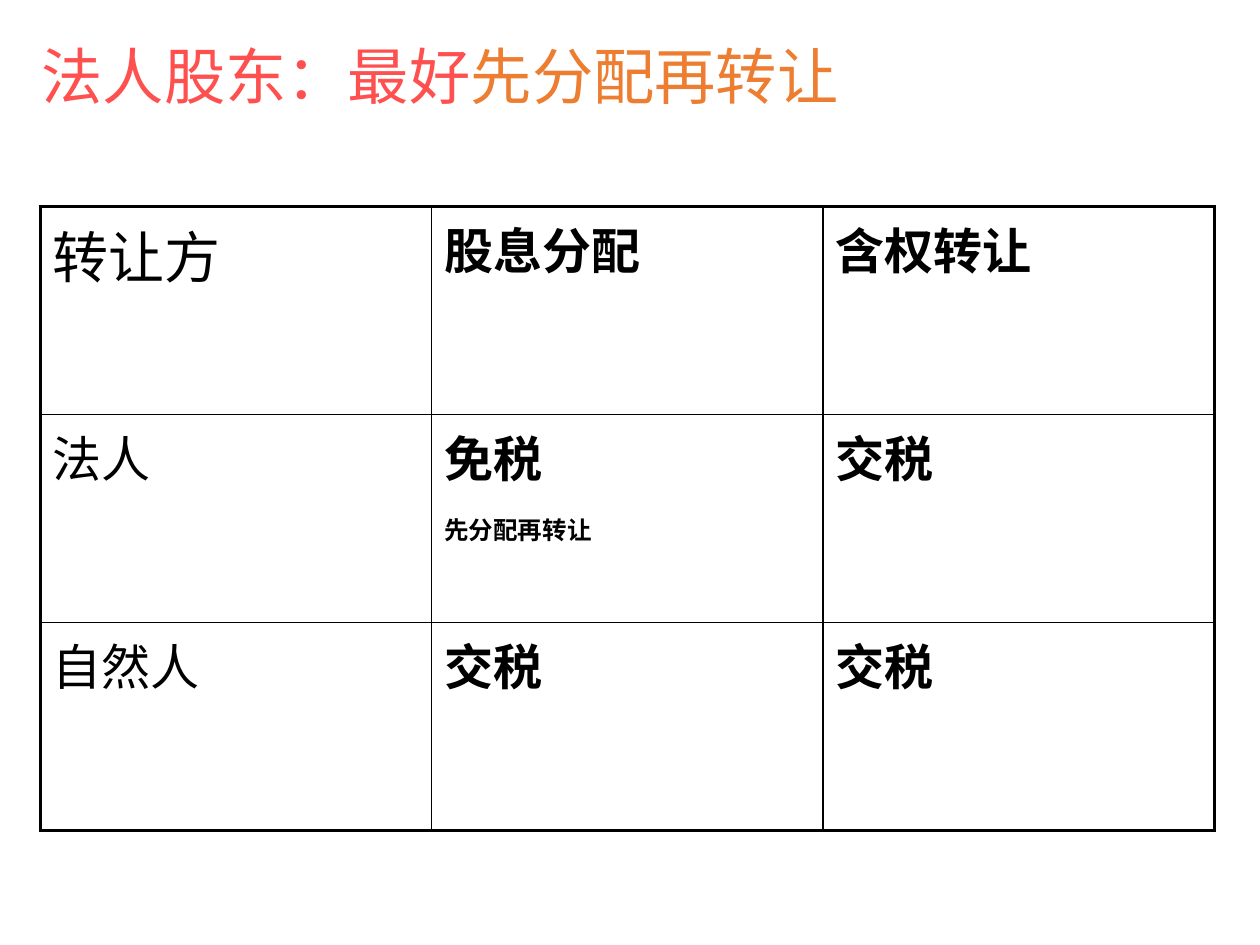
from dataclasses import dataclass

from lxml import etree
from pptx import Presentation
from pptx.dml.color import RGBColor
from pptx.enum.lang import MSO_LANGUAGE_ID
from pptx.enum.text import MSO_ANCHOR
from pptx.oxml.ns import qn
from pptx.util import Inches, Pt

CHINESE = MSO_LANGUAGE_ID.SIMPLIFIED_CHINESE
MIDDLE = MSO_ANCHOR.MIDDLE

COLORS = {"red": "FF5050", "orange": "ED7D31", "ink": "000000"}
LEFT, WIDTH = 0.32, 9.32
TABLE_TOP, ROW_HEIGHT = 1.64, 1.65
OUTER, INNER = 2.25, 1
SPACE_AFTER = 0.4  # share of the text size


@dataclass
class Line:
    text: str
    size: float = 28
    bold: bool = True


# Table rows: each cell is a list of lines
ROWS = [
    [[Line("转让方", 32, False)], [Line("股息分配")], [Line("含权转让")]],
    [[Line("法人", bold=False)], [Line("免税"), Line("先分配再转让", 14)], [Line("交税")]],
    [[Line("自然人", bold=False)], [Line("交税")], [Line("交税")]],
]


def add_run(p, text: str, *, size: float, font: str, color: str, bold: bool = False) -> None:
    r = p.add_run()
    r.text = text
    r.font.size, r.font.name, r.font.bold = Pt(size), font, bold
    r.font.language_id = CHINESE
    r.font.color.rgb = RGBColor.from_string(COLORS[color])


def set_borders(cell, widths: dict[str, float]) -> None:
    """Insert the border lines ahead of the cell's fill, as the schema asks."""
    tcPr = cell._tc.get_or_add_tcPr()
    for i, (side, width) in enumerate(widths.items()):
        ln = etree.Element(qn(f"a:ln{side}"), w=str(Pt(width)))
        fill = etree.SubElement(ln, qn("a:solidFill"))
        etree.SubElement(fill, qn("a:srgbClr"), val=COLORS["ink"])
        tcPr.insert(i, ln)


def fill_cell(cell, lines: list[Line]) -> None:
    cell.fill.background()
    tf = cell.text_frame
    for i, line in enumerate(lines):
        p = tf.add_paragraph() if i else tf.paragraphs[0]
        p.space_after = Pt(line.size * SPACE_AFTER)
        add_run(p, line.text, size=line.size, font="Arial", color="ink", bold=line.bold)


def add_title(s) -> None:
    tf = s.shapes.add_textbox(Inches(0.33), Inches(0.28), Inches(WIDTH), Inches(0.71)).text_frame
    tf.word_wrap = True
    tf.vertical_anchor = MIDDLE
    tf.margin_left = tf.margin_right = 0
    p = tf.paragraphs[0]
    p.line_spacing = 0.9
    for text, color in (("法人股东：最好", "red"), ("先分配再转让", "orange")):
        add_run(p, text, size=35, font="Calibri", color=color)


def add_grid(s, rows: list[list[list[Line]]]) -> None:
    n_rows, n_cols = len(rows), len(rows[0])
    table = s.shapes.add_table(n_rows, n_cols, Inches(LEFT), Inches(TABLE_TOP),
                               Inches(WIDTH), Inches(ROW_HEIGHT * n_rows)).table
    table.first_row = table.horz_banding = False
    for i, row in enumerate(rows):
        for j, lines in enumerate(row):
            cell = table.cell(i, j)
            fill_cell(cell, lines)
            on_edge = {"L": j == 0, "R": j == n_cols - 1, "T": i == 0, "B": i == n_rows - 1}
            set_borders(cell, {side: OUTER if edge else INNER for side, edge in on_edge.items()})


def main() -> None:
    prs = Presentation()
    prs.slide_width, prs.slide_height = Inches(10), Inches(7.5)
    s = prs.slides.add_slide(prs.slide_layouts[6])
    add_title(s)
    add_grid(s, ROWS)
    prs.save("out.pptx")


if __name__ == "__main__":
    main()
